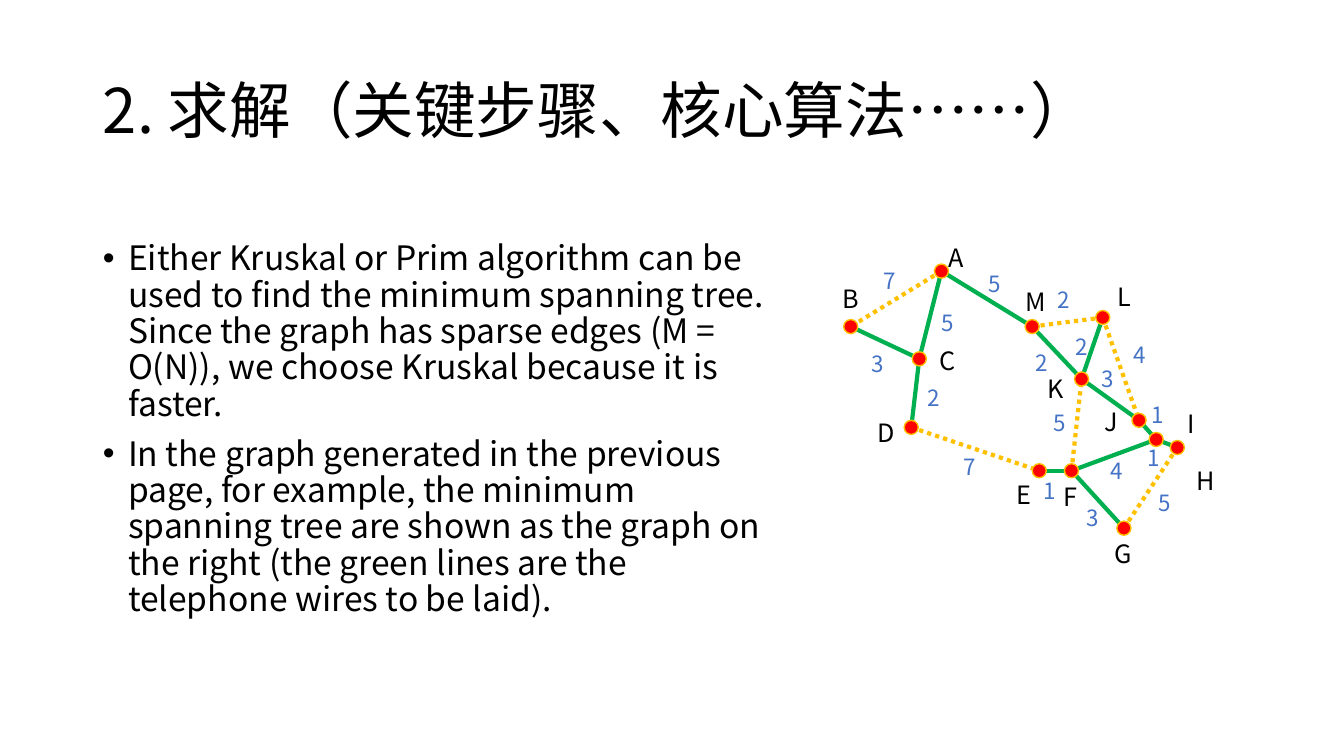
"""Build the slide on solving the telephone wire problem with a minimum spanning tree."""
import pptx
import pptx.dml.color
import pptx.enum.dml
import pptx.enum.shapes
import pptx.enum.text
import pptx.oxml.ns
import pptx.util
from lxml import etree

BLACK = pptx.dml.color.RGBColor(0x00, 0x00, 0x00)
WIRE_GREEN = pptx.dml.color.RGBColor(0x00, 0xB0, 0x50)
UNUSED_GOLD = pptx.dml.color.RGBColor(0xFF, 0xC0, 0x00)
TOWN_RED = pptx.dml.color.RGBColor(0xFF, 0x00, 0x00)
COST_BLUE = pptx.dml.color.RGBColor(0x44, 0x72, 0xC4)
FONT = "Noto Sans CJK SC"
CELL = pptx.util.Inches(0.1)


def cells(*counts):
    return [round(count * CELL) for count in counts]


def add_run(paragraph, wording, size, color):
    run = paragraph.add_run()
    run.text = wording
    run.font.size = pptx.util.Pt(size)
    run.font.name = FONT
    run.font.color.rgb = color
    east_asian = etree.SubElement(run.font._element, pptx.oxml.ns.qn("a:ea"))
    east_asian.set("typeface", FONT)


deck = pptx.Presentation()
deck.slide_width, deck.slide_height = cells(133.33, 75)
slide = deck.slides.add_slide(deck.slide_layouts[1])

heading, explanation = slide.placeholders
heading.left, heading.top, heading.width, heading.height = cells(9.2, 4, 115, 14.5)
heading.text_frame.vertical_anchor = pptx.enum.text.MSO_ANCHOR.MIDDLE
heading.text_frame.auto_size = pptx.enum.text.MSO_AUTO_SIZE.NONE
heading_line = heading.text_frame.paragraphs[0]
heading_line.alignment = pptx.enum.text.PP_ALIGN.LEFT
heading_line.line_spacing = 0.9
add_run(heading_line, "2. 求解（关键步骤、核心算法……）", 44, BLACK)

explanation.left, explanation.top, explanation.width, explanation.height = cells(9.2, 23.5, 69.3, 47.6)
explanation.text_frame.auto_size = pptx.enum.text.MSO_AUTO_SIZE.NONE
points = [
    "Either Kruskal or Prim algorithm can be used to find the minimum spanning tree. "
    "Since the graph has sparse edges (M = O(N)), we choose Kruskal because it is faster.",
    "In the graph generated in the previous page, for example, the minimum spanning tree "
    "are shown as the graph on the right (the green lines are the telephone wires to be laid).",
]
for index, point in enumerate(points):
    frame = explanation.text_frame
    paragraph = frame.add_paragraph() if index else frame.paragraphs[0]
    paragraph.line_spacing = 0.9
    paragraph.space_before = pptx.util.Pt(10 if index else 0)
    properties = paragraph._p.get_or_add_pPr()
    properties.set("marL", str(pptx.util.Inches(0.25)))
    properties.set("indent", str(-pptx.util.Inches(0.25)))
    etree.SubElement(properties, pptx.oxml.ns.qn("a:buFont")).set("typeface", "Arial")
    etree.SubElement(properties, pptx.oxml.ns.qn("a:buChar")).set("char", "•")
    add_run(paragraph, point, 24, BLACK)

# Town: centre column and row, then label left, top and width.
towns = {
    "A": (93.4, 26.9, 93.1, 23.5, 7.7),
    "B": (84.4, 32.4, 82.6, 27.6, 3.1),
    "C": (91.2, 35.6, 92.2, 33.8, 7.7),
    "D": (90.4, 42.4, 86.1, 40.9, 2.7),
    "E": (103.1, 46.7, 99.9, 47.1, 7.7),
    "F": (106.3, 46.7, 104.5, 47.3, 3.2),
    "G": (111.5, 52.4, 109.6, 52.9, 7.7),
    "H": (116.8, 44.4, 117.7, 45.7, 7.7),
    "I": (114.7, 43.6, 116.8, 40, 7.7),
    "J": (113, 41.7, 109, 39.8, 1.6),
    "K": (107.3, 37.6, 102.9, 36.5, 3),
    "L": (109.4, 31.5, 109.9, 27.4, 7.7),
    "M": (102.4, 32.4, 100.7, 27.9, 4.1),
}
# Edge: its two towns, cost, whether a wire is laid, then cost left, top and width.
edges = [
    ("AC", 5, True, 92.4, 30.2, 7.7),
    ("BC", 3, True, 85.5, 34.2, 7.7),
    ("AB", 7, False, 86.7, 26, 3.7),
    ("CD", 2, True, 91, 37.6, 7.7),
    ("DE", 7, False, 94.6, 44.5, 7.7),
    ("EF", 1, True, 102.5, 46.8, 2.3),
    ("AM", 5, True, 97.1, 26.3, 7.7),
    ("ML", 2, False, 103.9, 27.9, 7.7),
    ("LJ", 4, False, 111.5, 33.4, 7.7),
    ("JI", 1, True, 113.3, 39.3, 7.7),
    ("IH", 1, True, 112.9, 43.6, 7.7),
    ("FG", 3, True, 106.8, 49.5, 2),
    ("FI", 4, True, 109.2, 44.9, 7.7),
    ("GH", 5, False, 113.9, 48, 7.7),
    ("MK", 2, True, 101.7, 34.1, 2.8),
    ("LK", 2, True, 105.7, 32.6, 3.8),
    ("KJ", 3, True, 108.3, 35.7, 7.7),
    ("FK", 5, False, 103.5, 40.1, 7.7),
]
DOT = 1.4
graph = slide.shapes.add_group_shape().shapes

for (start, end), cost, laid, *cost_place in edges:
    wire = graph.add_connector(
        pptx.enum.shapes.MSO_CONNECTOR.STRAIGHT, *cells(*towns[start][:2], *towns[end][:2]))
    wire.line.width = pptx.util.Pt(3)
    wire.line.color.rgb = WIRE_GREEN if laid else UNUSED_GOLD
    if not laid:
        wire.line.dash_style = pptx.enum.dml.MSO_LINE.ROUND_DOT
    etree.SubElement(wire._element.spPr, pptx.oxml.ns.qn("a:effectLst"))

for column, row, *label_place in towns.values():
    dot = graph.add_shape(
        pptx.enum.shapes.MSO_SHAPE.OVAL, *cells(column - DOT / 2, row - DOT / 2, DOT, DOT))
    dot.shadow.inherit = False
    dot.fill.solid()
    dot.fill.fore_color.rgb = TOWN_RED
    dot.line.color.rgb = UNUSED_GOLD
    dot.line.width = pptx.util.Pt(1)

labels = [(town, place[2:], 4, 18, BLACK) for town, place in towns.items()]
labels += [(str(edge[1]), edge[3:], 3.7, 16, COST_BLUE) for edge in edges]
for wording, (left, top, width), height, size, color in labels:
    label = graph.add_textbox(*cells(left, top, width, height)).text_frame
    label.word_wrap = True
    label.auto_size = pptx.enum.text.MSO_AUTO_SIZE.SHAPE_TO_FIT_TEXT
    add_run(label.paragraphs[0], wording, size, color)

deck.save("out.pptx")
